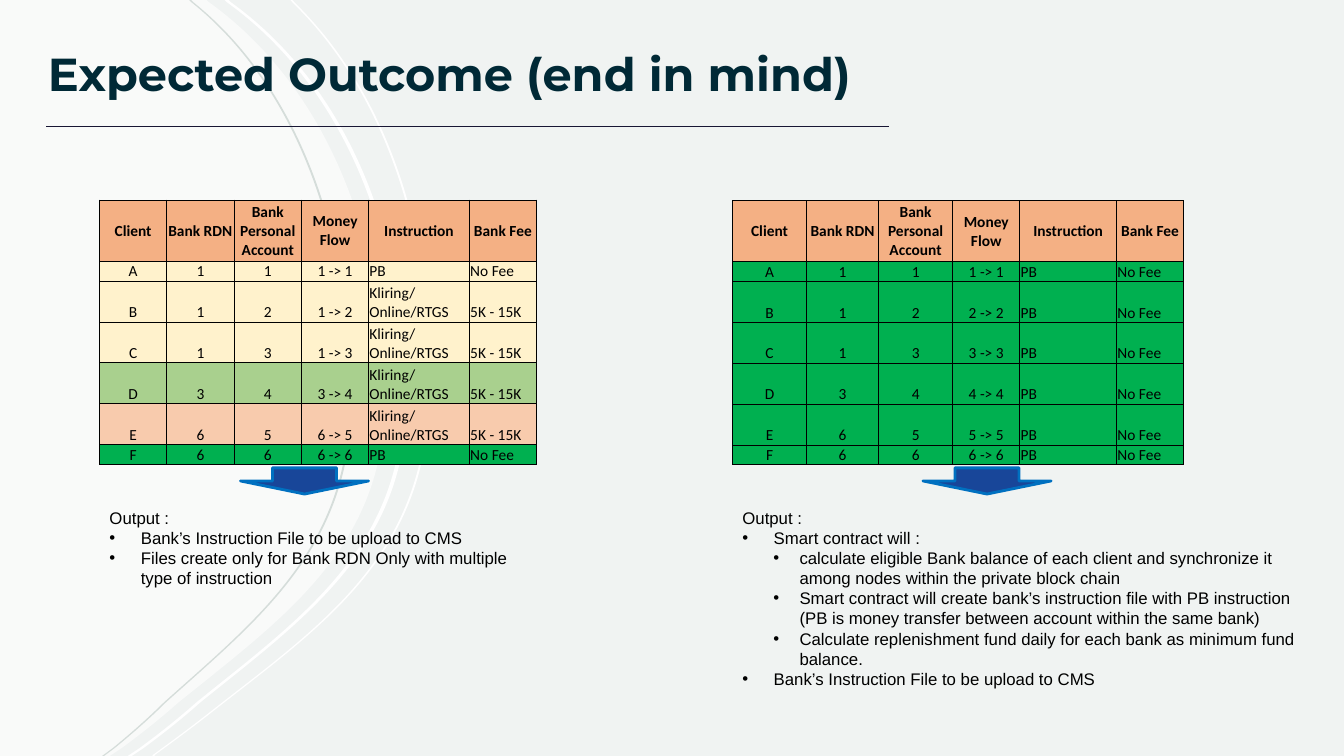
from dataclasses import dataclass

from lxml import etree
from pptx import Presentation
from pptx.dml.color import RGBColor
from pptx.enum.shapes import MSO_CONNECTOR, MSO_SHAPE
from pptx.enum.text import MSO_ANCHOR, MSO_AUTO_SIZE, PP_ALIGN
from pptx.oxml.ns import qn
from pptx.slide import Slide
from pptx.util import Cm, Pt

DOWN_ARROW = MSO_SHAPE.DOWN_ARROW
STRAIGHT = MSO_CONNECTOR.STRAIGHT
MIDDLE, BOTTOM = MSO_ANCHOR.MIDDLE, MSO_ANCHOR.BOTTOM
GROW = MSO_AUTO_SIZE.SHAPE_TO_FIT_TEXT
LEFT, CENTER = PP_ALIGN.LEFT, PP_ALIGN.CENTER

BLACK, WHITE, GREEN, CREAM = "000000", "FFFFFF", "00B050", "FFF2CC"
HEADER_FILL = "F4B084"
HEADERS = ("Client", "Bank RDN", "Bank Personal Account", "Money Flow", "Instruction", "Bank Fee")
ROW_HEIGHTS = (1.54, 0.5, 1.03, 1.03, 1.03, 1.03, 0.5)
CENTERED_COLUMNS = 4

Point = tuple[float, float]
Segment = list[Point]


@dataclass(frozen=True)
class Client:
    name: str
    rdn: int
    account: int
    fill: str


@dataclass(frozen=True)
class Bullet:
    text: str
    level: int = 0


@dataclass(frozen=True)
class Outcome:
    left: float
    table_top: float
    column_widths: tuple[float, ...]
    rows: list[tuple[str, ...]]
    fills: list[str]
    arrow_left: float
    output_size: Point
    bullets: tuple[Bullet, ...]


@dataclass(frozen=True)
class Ribbon:
    edge: list[Point]
    thickness: float
    color: str


CLIENTS = (
    Client("A", 1, 1, CREAM),
    Client("B", 1, 2, CREAM),
    Client("C", 1, 3, CREAM),
    Client("D", 3, 4, "A9D08E"),
    Client("E", 6, 5, "F8CBAD"),
    Client("F", 6, 6, GREEN),
)

PANEL_EDGE = [
    (5.21, 0), (5.26, 0.05), (8.13, 2.11), (9.7, 5.82), (9.7, 10.06), (9.7, 13.79),
    (7.14, 15.57), (4.5, 17.7), (4.04, 18.11), (3.56, 18.49), (3.07, 18.85), (2.77, 19.05),
]
OUTER_EDGE = [
    (7.37, 0), (7.44, 0.08), (9.8, 2.39), (11.02, 6.1), (10.82, 10.21), (10.64, 14.1),
    (8.05, 15.82), (5.36, 17.93), (4.88, 18.31), (4.39, 18.67), (3.91, 19.02), (3.89, 19.05),
]
RIBBONS = (
    Ribbon(OUTER_EDGE, 0.05, WHITE),
    Ribbon([(x + 0.55, y) for x, y in PANEL_EDGE], 0.1, WHITE),
    Ribbon([(x * 0.9 + 0.13, y) for x, y in PANEL_EDGE], 0.05, "D5DDDA"),
)


def client_row(client: Client, source: int) -> tuple[str, ...]:
    same_bank = source == client.account
    return (
        client.name, str(client.rdn), str(client.account), f"{source} -> {client.account}",
        "PB" if same_bank else "Kliring/Online/RTGS",
        "No Fee" if same_bank else "5K - 15K",
    )


OUTCOMES = (
    Outcome(
        18.46, 5.05, (1.87, 1.81, 1.87, 1.69, 2.44, 1.69),
        [client_row(client, client.account) for client in CLIENTS],
        [GREEN] * len(CLIENTS), 23.26, (14.81, 5.89),
        (
            Bullet("Smart contract will :"),
            Bullet("calculate eligible Bank balance of each client and synchronize it "
                   "among nodes within the private block chain", 4),
            Bullet("Smart contract will create bank’s instruction file with PB instruction "
                   "(PB is money transfer between account within the same bank)", 4),
            Bullet("Calculate replenishment fund daily for each bank as minimum fund balance.", 4),
            Bullet("Bank’s Instruction File to be upload to CMS"),
        ),
    ),
    Outcome(
        2.51, 5.04, (1.69, 1.7, 1.7, 1.69, 2.54, 1.69),
        [client_row(client, client.rdn) for client in CLIENTS],
        [client.fill for client in CLIENTS], 6.06, (11, 2.9),
        (
            Bullet("Bank’s Instruction File to be upload to CMS"),
            Bullet("Files create only for Bank RDN Only with multiple type of instruction"),
        ),
    ),
)


def paint(target, color: str) -> None:
    target.solid()
    target.fore_color.rgb = RGBColor.from_string(color)


def style(paragraph, name: str, size: float, color: str, bold: bool = False) -> None:
    font = paragraph.font
    font.name, font.size, font.bold = name, Pt(size), bold
    paint(font.fill, color)


def edge_segments(edge: list[Point]) -> list[Segment]:
    curves = [edge[index:index + 3] for index in range(2, len(edge) - 1, 3)]
    return [edge[:1], edge[1:2], *curves, edge[-1:]]


def add_outline(slide: Slide, segments: list[Segment], color: str):
    anchors = [(Cm(segment[-1][0]), Cm(segment[-1][1])) for segment in segments]
    builder = slide.shapes.build_freeform(*anchors[0])
    builder.add_line_segments(anchors[1:], close=True)
    shape = builder.convert_to_shape()
    lines = list(shape._element.iter(qn("a:lnTo")))
    for line, segment in zip(lines, segments[1:]):
        if len(segment) == 3:
            curve = etree.Element(qn("a:cubicBezTo"))
            for x, y in segment:
                etree.SubElement(curve, qn("a:pt"), x=str(Cm(x) - shape.left), y=str(Cm(y) - shape.top))
            line.getparent().replace(line, curve)
    shape.shadow.inherit = False
    paint(shape.fill, color)
    shape.line.fill.background()
    return shape


def add_backdrop(slide: Slide) -> None:
    paint(slide.background.fill, "F0F3F2")
    panel = add_outline(slide, [[(0, 0)], *edge_segments(PANEL_EDGE), [(0, 19.05)]], WHITE)
    fill_color = panel.fill._xPr.find(qn("a:solidFill"))[0]
    etree.SubElement(fill_color, qn("a:alpha"), val="60000")
    for ribbon in RIBBONS:
        inner = [(x - ribbon.thickness, y) for x, y in reversed(ribbon.edge)]
        add_outline(slide, edge_segments(ribbon.edge) + edge_segments(inner), ribbon.color)


def add_title(slide: Slide) -> None:
    rule = slide.shapes.add_connector(STRAIGHT, Cm(1.17), Cm(3.19), Cm(22.4), Cm(3.19))
    paint(rule.line.fill, "181634")
    rule.line.width = Pt(0.75)
    etree.SubElement(rule._element.spPr, qn("a:effectLst"))
    frame = slide.shapes.add_textbox(Cm(0.91), Cm(1.14), Cm(24.36), Cm(1.65)).text_frame
    frame.word_wrap = True
    frame.vertical_anchor = BOTTOM
    frame.margin_left = frame.margin_right = frame.margin_top = Cm(0.3)
    frame.margin_bottom = Cm(0.25)
    paragraph = frame.paragraphs[0]
    paragraph.text = "Expected Outcome (end in mind)"
    paragraph.line_spacing = 1.3
    style(paragraph, "Montserrat", 33, "002936", True)


def add_borders(cell) -> None:
    properties = cell._tc.get_or_add_tcPr()
    for side in ("a:lnL", "a:lnR", "a:lnT", "a:lnB"):
        line = etree.SubElement(properties, qn(side), w=str(Pt(0.5)))
        fill = etree.SubElement(line, qn("a:solidFill"))
        etree.SubElement(fill, qn("a:srgbClr"), val=BLACK)


def add_client_table(slide: Slide, outcome: Outcome) -> None:
    rows = [HEADERS, *outcome.rows]
    fills = [HEADER_FILL, *outcome.fills]
    table = slide.shapes.add_table(
        len(rows), len(HEADERS), Cm(outcome.left), Cm(outcome.table_top),
        Cm(sum(outcome.column_widths)), Cm(sum(ROW_HEIGHTS))).table
    table.first_row = table.horz_banding = False
    for column, width in zip(table.columns, outcome.column_widths):
        column.width = Cm(width)
    for row_index, (texts, fill, height) in enumerate(zip(rows, fills, ROW_HEIGHTS)):
        table.rows[row_index].height = Cm(height)
        header = row_index == 0
        for column_index, text in enumerate(texts):
            cell = table.cell(row_index, column_index)
            cell.margin_left = cell.margin_right = cell.margin_top = Cm(0.02)
            cell.margin_bottom = Cm(0)
            cell.vertical_anchor = MIDDLE if header else BOTTOM
            add_borders(cell)
            paint(cell.fill, fill)
            paragraph = cell.text_frame.paragraphs[0]
            paragraph.text = text
            paragraph.alignment = CENTER if header or column_index < CENTERED_COLUMNS else LEFT
            style(paragraph, "Calibri", 11, BLACK, header)


def add_bullet(paragraph, level: int) -> None:
    margin, hanging = (1.44, 0.66) if level else (0.79, 0.79)
    paragraph.level = level
    properties = paragraph._p.get_or_add_pPr()
    properties.set("marL", str(Cm(margin)))
    properties.set("indent", str(-Cm(hanging)))
    color = etree.Element(qn("a:buClr"))
    etree.SubElement(color, qn("a:srgbClr"), val=BLACK)
    font = etree.Element(qn("a:buFont"), typeface="Arial")
    character = etree.Element(qn("a:buChar"), char="•")
    for position, element in enumerate((color, font, character)):
        properties.insert(position, element)


def add_output(slide: Slide, outcome: Outcome) -> None:
    arrow = slide.shapes.add_shape(DOWN_ARROW, Cm(outcome.arrow_left), Cm(11.79), Cm(3.23), Cm(0.66))
    arrow.shadow.inherit = False
    paint(arrow.fill, "184699")
    paint(arrow.line.fill, "0070C0")
    arrow.line.width = Pt(2)
    width, height = outcome.output_size
    frame = slide.shapes.add_textbox(Cm(outcome.left), Cm(12.66), Cm(width), Cm(height)).text_frame
    frame.word_wrap = True
    frame.auto_size = GROW
    heading = frame.paragraphs[0]
    heading.text = "Output :"
    style(heading, "Arial", 12, BLACK)
    for bullet in outcome.bullets:
        paragraph = frame.add_paragraph()
        paragraph.text = bullet.text
        style(paragraph, "Arial", 12, BLACK)
        add_bullet(paragraph, bullet.level)


presentation = Presentation()
presentation.slide_width, presentation.slide_height = Cm(33.87), Cm(19.05)
main_slide = presentation.slides.add_slide(presentation.slide_layouts[6])
add_backdrop(main_slide)
add_title(main_slide)
for main_outcome in OUTCOMES:
    add_client_table(main_slide, main_outcome)
for main_outcome in reversed(OUTCOMES):
    add_output(main_slide, main_outcome)
presentation.save("out.pptx")
